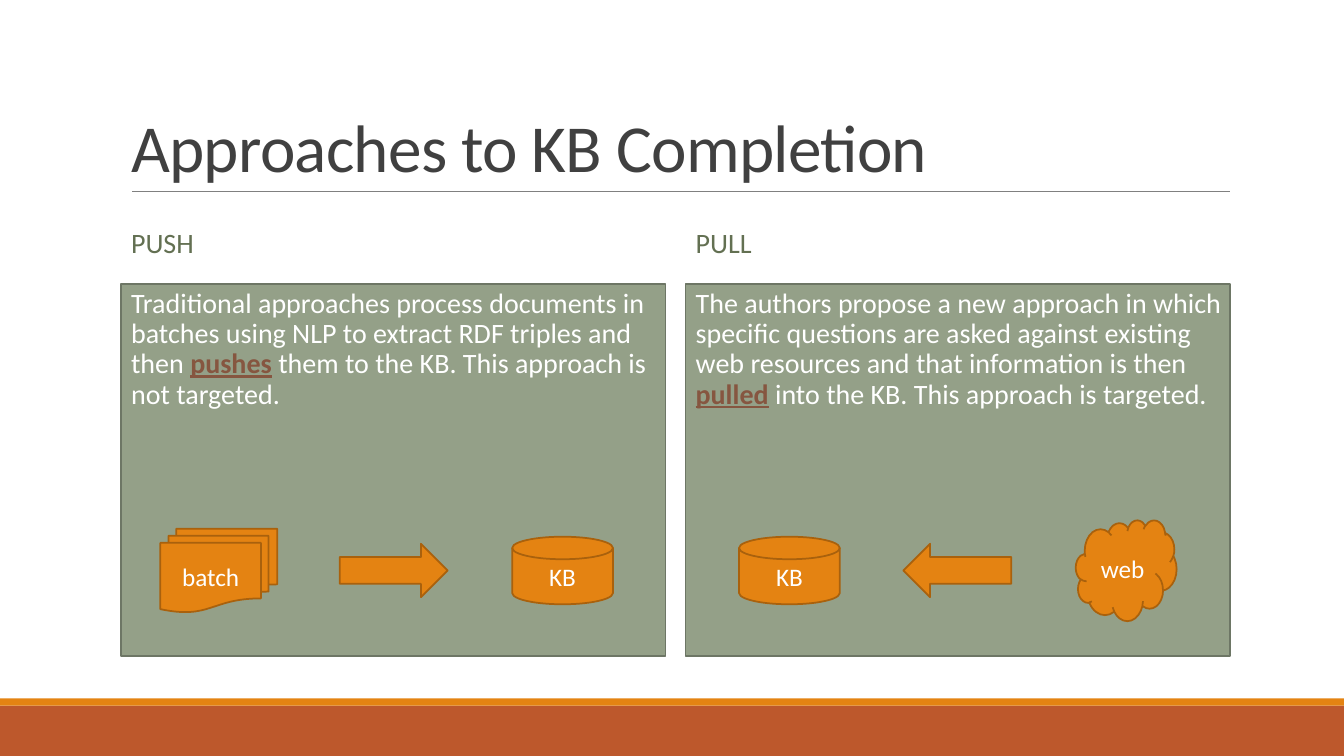
from lxml.etree import SubElement
from pptx import Presentation
from pptx.dml.color import RGBColor
from pptx.enum.shapes import MSO_CONNECTOR, MSO_SHAPE
from pptx.enum.text import MSO_ANCHOR as ANCHOR, MSO_AUTO_SIZE, PP_ALIGN as ALIGN
from pptx.oxml.ns import qn
from pptx.util import Inches, Pt

WHITE = RGBColor(0xFF, 0xFF, 0xFF)
ORANGE = RGBColor(0xE4, 0x83, 0x12)
DARK_ORANGE = RGBColor(0xA9, 0x61, 0x0D)
RUST = RGBColor(0xBD, 0x58, 0x2C)
SAGE = RGBColor(0x94, 0xA0, 0x88)
DARK_SAGE = RGBColor(0x6D, 0x76, 0x65)
HEADING_GREEN = RGBColor(0x63, 0x70, 0x52)
EMPHASIS_BROWN = RGBColor(0x86, 0x56, 0x40)
TITLE_GRAY = RGBColor(0x40, 0x40, 0x40)
RULE_GRAY = RGBColor(0x80, 0x80, 0x80)

SLIDE_WIDTH, SLIDE_HEIGHT = 13.33, 7.5
PANEL_WIDTH, PANEL_HEIGHT = 5.4, 3.69
HEADING_HEIGHT = 0.8
ICON_MIDDLE = 2.84


def place(shape, left, top, width, height):
    """Set the position and size of a shape in inches."""
    shape.left, shape.top = Inches(left), Inches(top)
    shape.width, shape.height = Inches(width), Inches(height)


def paint(shape, fill, line=None):
    """Fill a shape and give it an outline, or none."""
    shape.fill.solid()
    shape.fill.fore_color.rgb = fill
    if line is None:
        shape.line.fill.background()
    else:
        shape.line.color.rgb = line
        shape.line.width = Pt(1.25)


def write(shape, text, size=20, color=WHITE, align=ALIGN.LEFT, anchor=ANCHOR.MIDDLE,
          spacing=1.0, before=0, after=0, tracking=None, emphasis=None):
    """Write one paragraph, with the emphasised word bold and underlined."""
    frame = shape.text_frame
    frame.word_wrap = True
    frame.auto_size = MSO_AUTO_SIZE.NONE
    frame.vertical_anchor = anchor
    paragraph = frame.paragraphs[0]
    paragraph.alignment = align
    paragraph.line_spacing = spacing
    paragraph.space_before, paragraph.space_after = Pt(before), Pt(after)
    lead, word, rest = text.partition(emphasis) if emphasis else (text, "", "")
    for part in filter(None, (lead, word, rest)):
        strong = part == emphasis
        run = paragraph.add_run()
        run.text = part
        font = run.font
        font.name, font.size = "Calibri", Pt(size)
        font.bold = font.underline = strong
        font.color.rgb = EMPHASIS_BROWN if strong else color
        if tracking is not None:
            font._element.set("spc", str(int(tracking * 100)))
    return paragraph


def add_block(slide, kind, left, top, width, height, fill, line=None):
    """Add a painted preset shape without a shadow."""
    shape = slide.shapes.add_shape(kind, Inches(left), Inches(top), Inches(width), Inches(height))
    shape.shadow.inherit = False
    paint(shape, fill, line)
    return shape


def add_footer_bands(slide, top):
    """Draw the thin orange band and the rust band below it."""
    add_block(slide, MSO_SHAPE.RECTANGLE, 0, top + 0.07, SLIDE_WIDTH, SLIDE_HEIGHT - top - 0.07, RUST)
    add_block(slide, MSO_SHAPE.RECTANGLE, 0, top, SLIDE_WIDTH, 0.07, ORANGE)


def add_title(slide, text, left, top, width, height):
    """Fill the title placeholder and draw the rule under it."""
    title = slide.shapes.title
    place(title, left, top, width, height)
    write(title, text, size=48, color=TITLE_GRAY, anchor=ANCHOR.BOTTOM, spacing=0.85, tracking=-0.5)
    bottom = Inches(top + height)
    rule = slide.shapes.add_connector(
        MSO_CONNECTOR.STRAIGHT, Inches(left + 0.11), bottom, Inches(left + width), bottom)
    rule.line.color.rgb = RULE_GRAY
    rule.line.width = Pt(0.5)
    SubElement(rule._element.spPr, qn("a:effectLst"))


def add_panel(slide, heading, body, left, top, title, text, emphasis, icons):
    """Fill one heading and body pair and set its icons on a common middle line."""
    place(heading, left, top, PANEL_WIDTH, HEADING_HEIGHT)
    write(heading, title, color=HEADING_GREEN, spacing=0.9, before=12, after=2)
    body_top = top + HEADING_HEIGHT
    place(body, left, body_top, PANEL_WIDTH, PANEL_HEIGHT)
    paint(body, SAGE, DARK_SAGE)
    frame = body.text_frame
    frame.margin_left = frame.margin_right = 0
    paragraph = write(body, text, anchor=ANCHOR.TOP, spacing=0.9, before=12, after=2, emphasis=emphasis)
    properties = paragraph._p.get_or_add_pPr()
    properties.set("marL", str(Inches(0.1)))
    properties.set("indent", "0")
    SubElement(properties, qn("a:buNone"))
    for kind, label, offset, width, height in icons:
        icon = add_block(slide, kind, left + offset, body_top + ICON_MIDDLE - height / 2,
                         width, height, ORANGE, DARK_ORANGE)
        if label:
            write(icon, label, size=18, align=ALIGN.CENTER)


def build_comparison(presentation):
    """Build the slide that compares the push and pull approaches."""
    slide = presentation.slides.add_slide(presentation.slide_layouts[4])
    add_footer_bands(slide, 6.93)
    add_title(slide, "Approaches to KB Completion", 1.2, 0.31, 11, 1.59)
    push_heading, push_body, pull_heading, pull_body = list(slide.placeholders)[1:]
    disk = MSO_SHAPE.FLOWCHART_MAGNETIC_DISK
    add_panel(
        slide, push_heading, push_body, 1.2, 2.02, "PUSH",
        "Traditional approaches process documents in batches using NLP to extract RDF triples "
        "and then pushes them to the KB. This approach is not targeted.", "pushes",
        [(MSO_SHAPE.FLOWCHART_MULTIDOCUMENT, "batch", 0.39, 1.16, 0.83),
         (MSO_SHAPE.RIGHT_ARROW, "", 2.17, 1.07, 0.53),
         (disk, "KB", 3.88, 1, 0.67)])
    add_panel(
        slide, pull_heading, pull_body, 6.8, 2.02, "PULL",
        "The authors propose a new approach in which specific questions are asked against existing "
        "web resources and that information is then pulled into the KB. This approach is targeted.",
        "pulled",
        [(disk, "KB", 0.53, 1, 0.67),
         (MSO_SHAPE.LEFT_ARROW, "", 2.16, 1.07, 0.53),
         (MSO_SHAPE.CLOUD, "web", 3.87, 1, 1)])


presentation = Presentation()
presentation.slide_width, presentation.slide_height = Inches(SLIDE_WIDTH), Inches(SLIDE_HEIGHT)
build_comparison(presentation)
presentation.save("out.pptx")
